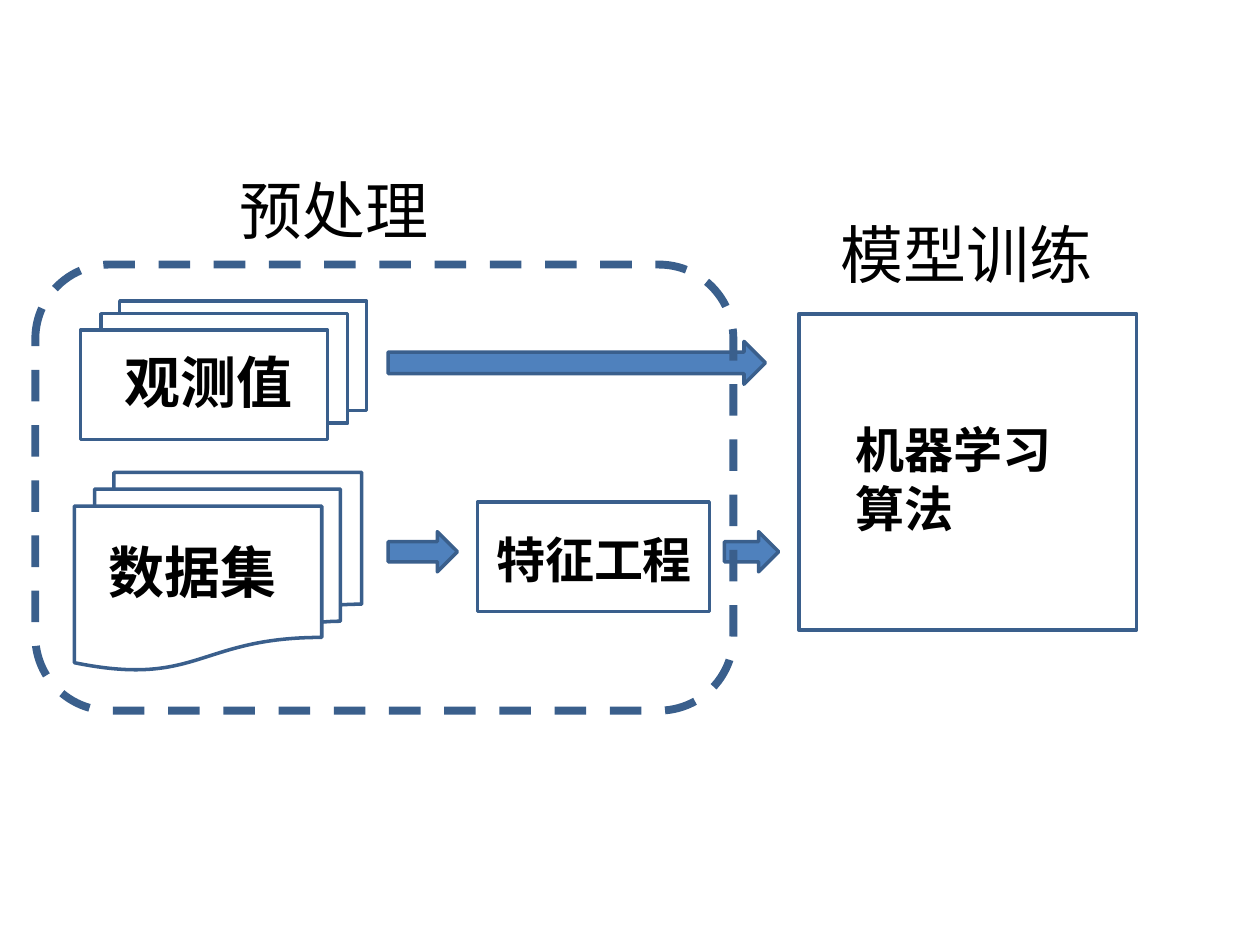
from pptx import Presentation
from pptx.dml.color import RGBColor
from pptx.enum.dml import MSO_LINE as Dash
from pptx.enum.shapes import MSO_SHAPE as Kind
from pptx.enum.text import MSO_AUTO_SIZE as Fit
from pptx.util import Pt

EDGE, BLUE, WHITE, BLACK = "3A5F8C", "4F81BD", "FFFFFF", "000000"


def color(code):
    return RGBColor.from_string(code)


def shape(parent, kind, x, y, w, h, fill=WHITE, line=2, dash=None):
    item = parent.add_shape(kind, Pt(x), Pt(y), Pt(w), Pt(h))
    item.shadow.inherit = False
    if fill:
        item.fill.solid()
        item.fill.fore_color.rgb = color(fill)
    else:
        item.fill.background()
    item.line.color.rgb = color(EDGE)
    item.line.width = Pt(line)
    if dash:
        item.line.dash_style = dash
    return item


def arrow(parent, x, y, w, h):
    return shape(parent, Kind.RIGHT_ARROW, x, y, w, h, fill=BLUE)


def label(parent, text, x, y, w, h, size=28, bold=True):
    box = parent.add_textbox(Pt(x), Pt(y), Pt(w), Pt(h))
    frame = box.text_frame
    frame.word_wrap = True
    frame.auto_size = Fit.SHAPE_TO_FIT_TEXT
    run = frame.paragraphs[0].add_run()
    run.text = text
    run.font.name = "Calibri"
    run.font.size = Pt(size)
    run.font.bold = bold
    run.font.color.rgb = color(BLACK)
    return box


def stack(parent, text):
    # Overlapping cards, back to front, with the text on the last one
    group = parent.add_group_shape().shapes
    for x, y in ((68.4, 172.1), (57.6, 179.3), (46.1, 188.6)):
        shape(group, Kind.RECTANGLE, x, y, 141.1, 62.6)
    label(group, text, 64.1, 195.1, 118.8, 46.1, size=32)


def main():
    deck = Presentation()
    deck.slide_width, deck.slide_height = Pt(720), Pt(540)
    slide = deck.slides.add_slide(deck.slide_layouts[6])
    slide.background.fill.solid()
    slide.background.fill.fore_color.rgb = color(WHITE)
    parts = slide.shapes

    # Inputs
    shape(parts, Kind.FLOWCHART_MULTIDOCUMENT, 42.5, 270, 164.2, 113)
    label(parts, "数据集", 54.7, 303.8, 118.8, 46.1, size=32)
    stack(parts, "观测值")

    # Flow through feature engineering
    arrow(parts, 221.8, 195.1, 215.6, 24.5)
    arrow(parts, 221.8, 303.8, 39.6, 23)
    shape(parts, Kind.RECTANGLE, 272.9, 287, 132.5, 62.6)
    label(parts, "特征工程", 276.5, 298.8, 141.8, 41)
    arrow(parts, 414, 303.8, 31, 23)

    # Learning algorithm
    shape(parts, Kind.RECTANGLE, 456.5, 179.3, 193, 180.7)
    label(parts, "机器学习算法", 481.7, 236.2, 141.8, 74.9)

    # Stage frame and headings
    shape(parts, Kind.ROUNDED_RECTANGLE, 20.2, 151.2, 398.9, 254.9,
          fill=None, line=4.5, dash=Dash.DASH)
    for text, x, y in (("预处理", 129.6, 94.3), ("模型训练", 473, 119.5)):
        label(parts, text, x, y, 215.3, 51.1, size=36, bold=False)

    deck.save("out.pptx")


if __name__ == "__main__":
    main()
